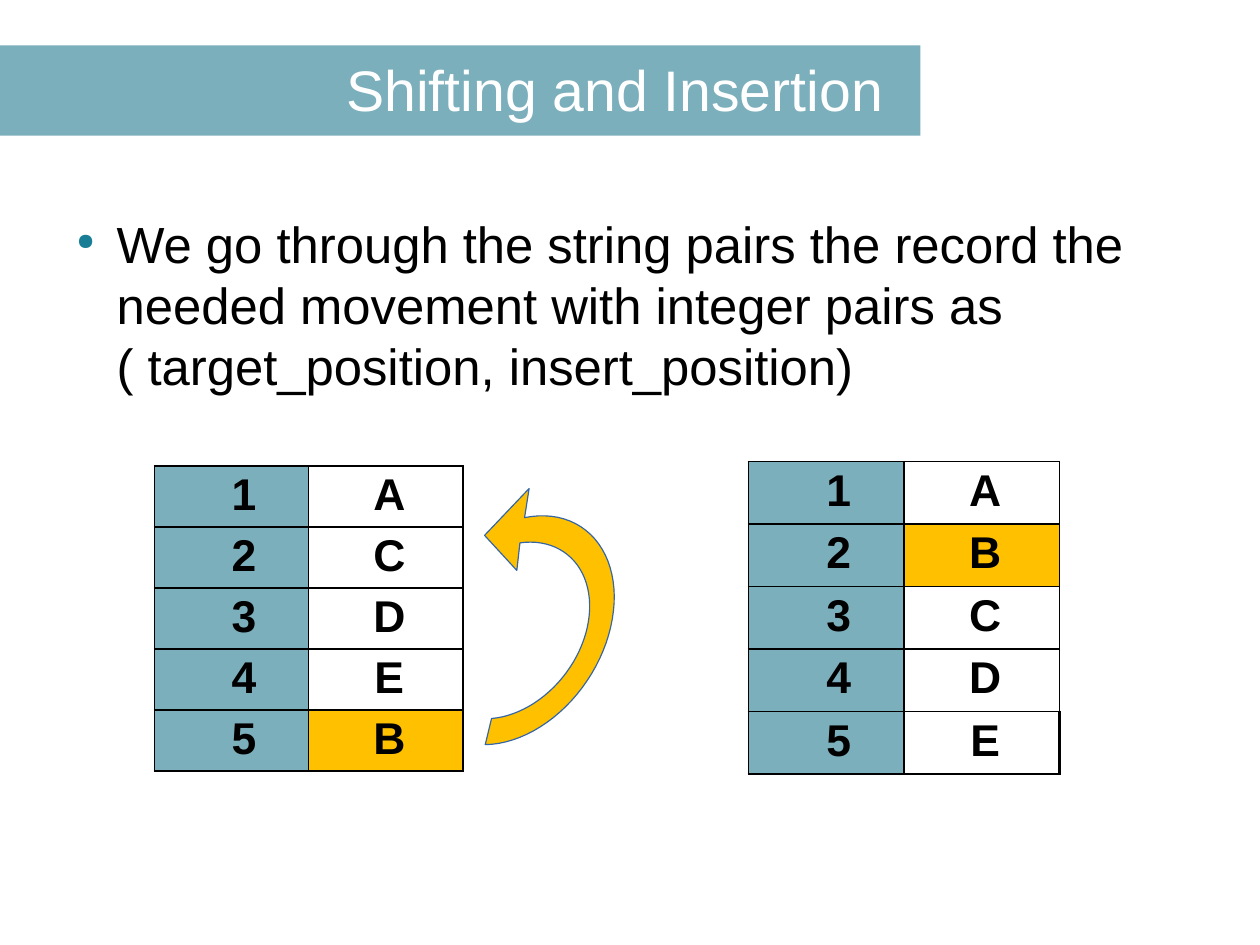
import math

import pptx
import pptx.dml.color
import pptx.enum.shapes
import pptx.enum.text
import pptx.oxml
import pptx.oxml.ns
import pptx.util

SLIDE_WIDTH = pptx.util.Cm(28)
SLIDE_HEIGHT = pptx.util.Cm(21)
FONT = "Arial"
COLORS = {
    "band": "7CAFBC",
    "highlight": "FFC000",
    "arrow_line": "3465A4",
    "bullet": "187E95",
    "text": "000000",
    "paper": "FFFFFF",
}
ALIGN = pptx.enum.text.PP_ALIGN


def color(name):
    return pptx.dml.color.RGBColor.from_string(COLORS[name])


def slide_box(left, top, width, height):
    """Turn percentages of the slide's size into lengths."""
    return (int(SLIDE_WIDTH * left / 100), int(SLIDE_HEIGHT * top / 100),
            int(SLIDE_WIDTH * width / 100), int(SLIDE_HEIGHT * height / 100))


def xml_element(content):
    tag, rest = content.split(" ", 1)
    return pptx.oxml.parse_xml(f"<a:{tag} {pptx.oxml.ns.nsdecls('a')} {rest}")


def write_text(frame, text, size, fill="text", bold=False, align=ALIGN.LEFT,
               left_margin=0, indent=0, bullet=None):
    paragraph = frame.paragraphs[0]
    paragraph.text = text
    paragraph.alignment = align
    properties = paragraph._p.get_or_add_pPr()
    properties.set("marL", str(pptx.util.Inches(left_margin)))
    properties.set("indent", str(pptx.util.Inches(indent)))
    if bullet:
        properties.append(xml_element(f'buClr ><a:srgbClr val="{COLORS["bullet"]}"/></a:buClr>'))
        properties.append(xml_element('buSzPct val="45000"/>'))
        properties.append(xml_element(f'buChar char="{bullet}"/>'))
    for run in paragraph.runs:
        run.font.name = FONT
        run.font.size = pptx.util.Pt(size)
        run.font.bold = bold
        run.font.color.rgb = color(fill)


def add_text_box(slide, box, text, anchor, **text_format):
    frame = slide.shapes.add_textbox(*box).text_frame
    frame.word_wrap = True
    frame.vertical_anchor = anchor
    frame.margin_left = frame.margin_right = frame.margin_top = frame.margin_bottom = 0
    write_text(frame, text, **text_format)


def set_borders(cell, widths):
    """Draw the four borders, with widths in points keyed L, R, T and B."""
    properties = cell._tc.get_or_add_tcPr()
    for position, side in enumerate("LRTB"):
        properties.insert(position, xml_element(
            f'ln{side} w="{pptx.util.Pt(widths[side])}"><a:solidFill>'
            f'<a:srgbClr val="{COLORS["text"]}"/></a:solidFill></a:ln{side}>'))


def add_position_table(slide, box, letters, highlighted):
    left, top, width, height = box
    table = slide.shapes.add_table(len(letters), 2, *box).table
    table.first_row = table.horz_banding = False
    for column in table.columns:
        column.width = width // 2
    for row in table.rows:
        row.height = height // len(letters)
    for row_index, letter in enumerate(letters):
        letter_fill = "highlight" if letter == highlighted else "paper"
        entries = [(str(row_index + 1), "band", 0.16), (letter, letter_fill, 0)]
        for column_index, (text, fill, indent) in enumerate(entries):
            cell = table.cell(row_index, column_index)
            cell.margin_top = cell.margin_bottom = pptx.util.Inches(0.04)
            cell.fill.solid()
            cell.fill.fore_color.rgb = color(fill)
            write_text(cell.text_frame, text, 28, bold=True, align=ALIGN.CENTER,
                       left_margin=0.06, indent=indent)
            is_last = row_index == len(letters) - 1 and column_index == 1
            outer = 1.7 if is_last else 1.13
            set_borders(cell, {"L": 1.13, "T": 1.13, "R": outer, "B": outer})


def slanted_arc(center, radii, slant, start, end, steps=48):
    """Return points of a slanted ellipse's arc; angles are in degrees."""
    angles = [start + (end - start) * step / steps for step in range(steps + 1)]
    return [(center[0] + radii[0] * math.cos(math.radians(angle)),
             center[1] + radii[1] * math.sin(math.radians(angle - slant)))
            for angle in angles]


def add_shift_arrow(slide, box):
    """Draw the curved arrow, with its outline in percent of the box."""
    left, top, width, height = box
    outer_curve = slanted_arc((22.12, 55.36), (78.3, 44.7), 16.8, 106, -83.5)
    head = [(34.5, 0), (0, 18.3), (25, 32)]
    inner_curve = slanted_arc((18.05, 55.45), (63.36, 34.5), 15.9, -81.5, 101.5)
    points = [(left + width * x / 100, top + height * y / 100)
              for x, y in outer_curve + head + inner_curve]
    builder = slide.shapes.build_freeform(*points[0])
    builder.add_line_segments(points[1:], close=True)
    arrow = builder.convert_to_shape()
    arrow.shadow.inherit = False
    arrow.fill.solid()
    arrow.fill.fore_color.rgb = color("highlight")
    arrow.line.color.rgb = color("arrow_line")
    arrow.line.width = pptx.util.Pt(0.75)


def add_title(slide, band_box, text_box):
    band = slide.shapes.add_shape(pptx.enum.shapes.MSO_SHAPE.RECTANGLE, *band_box)
    band.shadow.inherit = False
    band.fill.solid()
    band.fill.fore_color.rgb = color("band")
    band.line.fill.background()
    add_text_box(slide, text_box, "Shifting and Insertion",
                 pptx.enum.text.MSO_ANCHOR.MIDDLE, size=36, fill="paper", align=ALIGN.CENTER)


def main():
    presentation = pptx.Presentation()
    presentation.slide_width = SLIDE_WIDTH
    presentation.slide_height = SLIDE_HEIGHT
    slide = presentation.slides.add_slide(presentation.slide_layouts[6])

    add_position_table(slide, slide_box(12.25, 49.33, 24.5, 32.25), "ACDEB", highlighted="B")
    add_text_box(
        slide, slide_box(4.99, 22.49, 87.57, 19.83),
        "We go through the string pairs the record the needed movement with integer pairs as"
        "\v( target_position, insert_position)",
        pptx.enum.text.MSO_ANCHOR.TOP, size=32, left_margin=0.47, indent=-0.35, bullet="●")
    add_position_table(slide, slide_box(59.4, 48.85, 24.68, 32.25), "ABCDE", highlighted="B")
    add_shift_arrow(slide, slide_box(38.46, 51.7, 10.25, 27.09))
    add_title(slide, slide_box(0, 4.8, 73.05, 9.55), slide_box(8.05, 4.47, 81.49, 9.79))

    presentation.save("out.pptx")


if __name__ == "__main__":
    main()
